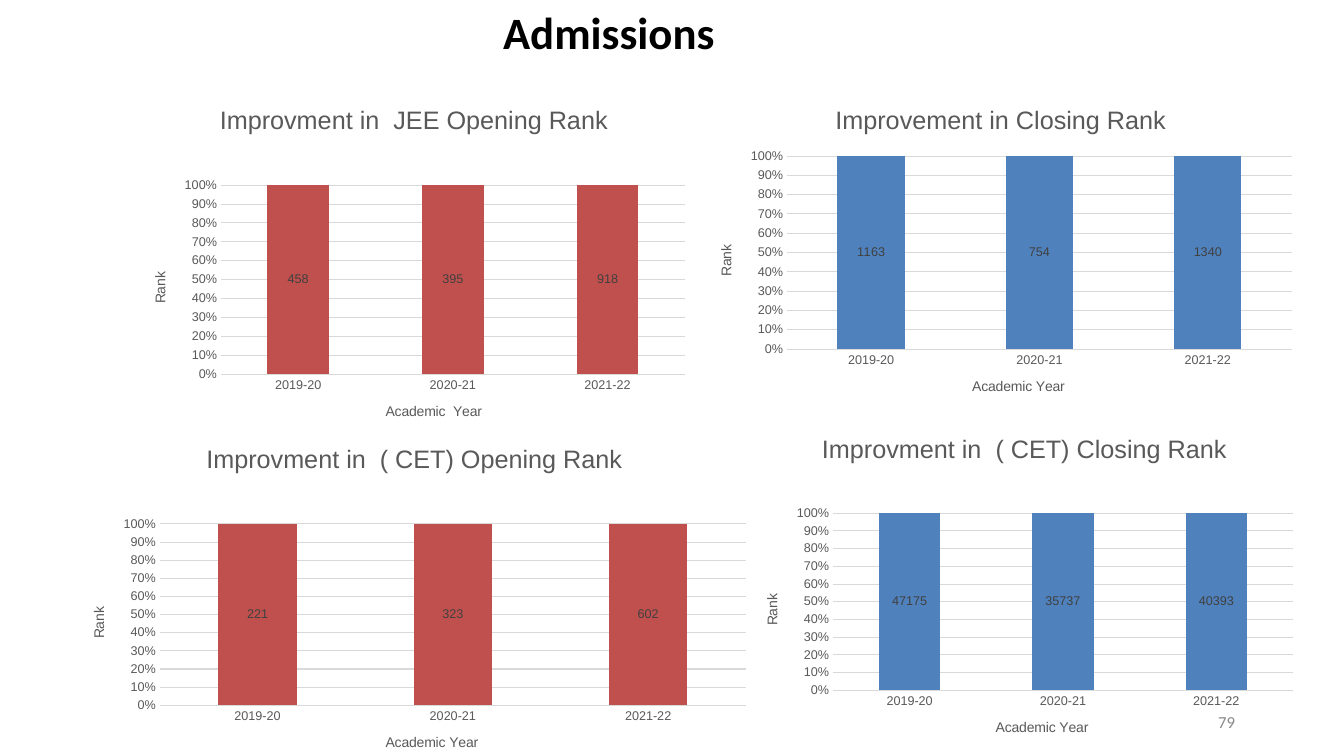
from lxml import etree
from pptx import Presentation
from pptx.chart.data import CategoryChartData as Data
from pptx.dml.color import RGBColor
from pptx.enum.chart import XL_CHART_TYPE as Kind, XL_TICK_MARK as Tick
from pptx.enum.text import MSO_ANCHOR as Anchor, PP_ALIGN as Align
from pptx.oxml.ns import qn
from pptx.util import Inches, Pt

BLACK = RGBColor(0x00, 0x00, 0x00)
GRAY = RGBColor(0x59, 0x59, 0x59)
DARK = RGBColor(0x40, 0x40, 0x40)
PALE = RGBColor(0xD9, 0xD9, 0xD9)
MUTED = RGBColor(0x89, 0x89, 0x89)
RED = RGBColor(0xC0, 0x50, 0x4D)
BLUE = RGBColor(0x4F, 0x81, 0xBD)

deck = Presentation()
deck.slide_width, deck.slide_height = Inches(13.33), Inches(7.5)
COL, ROW = deck.slide_width / 100, deck.slide_height / 100
slide = deck.slides.add_slide(deck.slide_layouts[5])


def style(font, size, color, name="Arial", bold=False):
    look = {"size": Pt(size), "name": name, "bold": bold}
    for key, val in look.items():
        setattr(font, key, val)
    font.color.rgb = color


def place(node, **spots):
    old = node.find(qn("c:layout"))
    if old is None:
        old = etree.Element(qn("c:layout"))
        node.insert(0, old)
    man = etree.SubElement(old, qn("c:manualLayout"))
    if "w" in spots:
        etree.SubElement(man, qn("c:layoutTarget")).set("val", "inner")
    for key in "xy":
        etree.SubElement(man, qn(f"c:{key}Mode")).set("val", "edge")
    for key, val in spots.items():
        etree.SubElement(man, qn(f"c:{key}")).set("val", f"{val:.4f}")


head = slide.shapes.title
page = slide.shapes.add_textbox(0, 0, 0, 0)
texts = [
    (head, "Admissions", (0, 0, 90.62, 8.4), 32, BLACK, True),
    (page, "79", (86.87, 92.67, 8.78, 5.6), 12, MUTED, False),
]
for box, words, (x, y, w, h), size, color, bold in texts:
    form = {"left": x * COL, "top": y * ROW, "width": w * COL, "height": h * ROW}
    for key, val in form.items():
        setattr(box, key, int(val))
    frame = box.text_frame
    frame.text = words
    frame.word_wrap = True
    frame.vertical_anchor = Anchor.MIDDLE
    para = frame.paragraphs[0]
    para.alignment = Align.CENTER
    style(para.runs[0].font, size, color, "Calibri", bold)

YEARS = ["2019-20", "2020-21", "2021-22"]
charts = [
    ("Improvment in  JEE Opening Rank", "Academic  Year", RED, (458, 395, 918),
     (9.75, 11.47, 42.08, 46.93), (16.44, 24.5, 34.52, 25)),
    ("Improvement in Closing Rank", "Academic Year", BLUE, (1163, 754, 1340),
     (51.84, 11.47, 45.24, 43.47), (58.56, 20.65, 37.57, 25.53)),
    ("Improvment in  ( CET) Opening Rank", "Academic Year", RED, (221, 323, 602),
     (5.1, 56.27, 51.46, 43.73), (11.9, 69.31, 43.6, 24)),
    ("Improvment in  ( CET) Closing Rank", "Academic Year", BLUE, (47175, 35737, 40393),
     (55.36, 54.93, 41.71, 45.07), (61.98, 67.9, 34.23, 23.41)),
]
for name, year, color, ranks, (x, y, w, h), (px, py, pw, ph) in charts:
    data = Data()
    data.categories = YEARS
    data.add_series("Series 1", ranks)
    area = [int(v) for v in (x * COL, y * ROW, w * COL, h * ROW)]
    chart = slide.shapes.add_chart(Kind.COLUMN_STACKED_100, *area, data).chart
    style(chart.font, 10, BLACK)
    chart.has_legend = False
    chart.has_title = True
    title = chart.chart_title
    title.include_in_layout = False
    title.text_frame.text = name
    style(title.text_frame.paragraphs[0].runs[0].font, 18, GRAY)

    plot = chart.plots[0]
    for key, val in {"gap_width": 150, "overlap": 100, "vary_by_categories": False,
                     "has_data_labels": True}.items():
        setattr(plot, key, val)
    plot.data_labels.show_value = True
    style(plot.data_labels.font, 9, DARK)
    fill = plot.series[0].format.fill
    fill.solid()
    fill.fore_color.rgb = color
    place(chart._chartSpace.chart.plotArea,
          x=(px - x) / w, y=(py - y) / h, w=pw / w, h=ph / h)

    axes = [
        (chart.category_axis, year, px + pw / 2 - 5.2, py + ph + 3.4, "0"),
        (chart.value_axis, "Rank", px - 5.4, py + ph / 2 - 1.35, "-5400000"),
    ]
    for axis, words, ax, ay, turn in axes:
        axis.major_tick_mark = axis.minor_tick_mark = Tick.NONE
        axis.format.line.fill.background()
        style(axis.tick_labels.font, 9, GRAY)
        label = axis.axis_title
        frame = label.text_frame
        frame.text = words
        style(frame.paragraphs[0].runs[0].font, 10, GRAY)
        frame._txBody.bodyPr.set("rot", turn)
        frame._txBody.bodyPr.set("vert", "horz")
        place(label._element, x=(ax - x) / w, y=(ay - y) / h)

    axis = chart.value_axis
    axis.minimum_scale, axis.maximum_scale, axis.major_unit = 0, 1, 0.1
    axis.tick_labels.number_format = "0%"
    axis.tick_labels.number_format_is_linked = False
    line = axis.major_gridlines.format.line
    line.width = Pt(0.75)
    line.color.rgb = PALE

deck.save("out.pptx")
